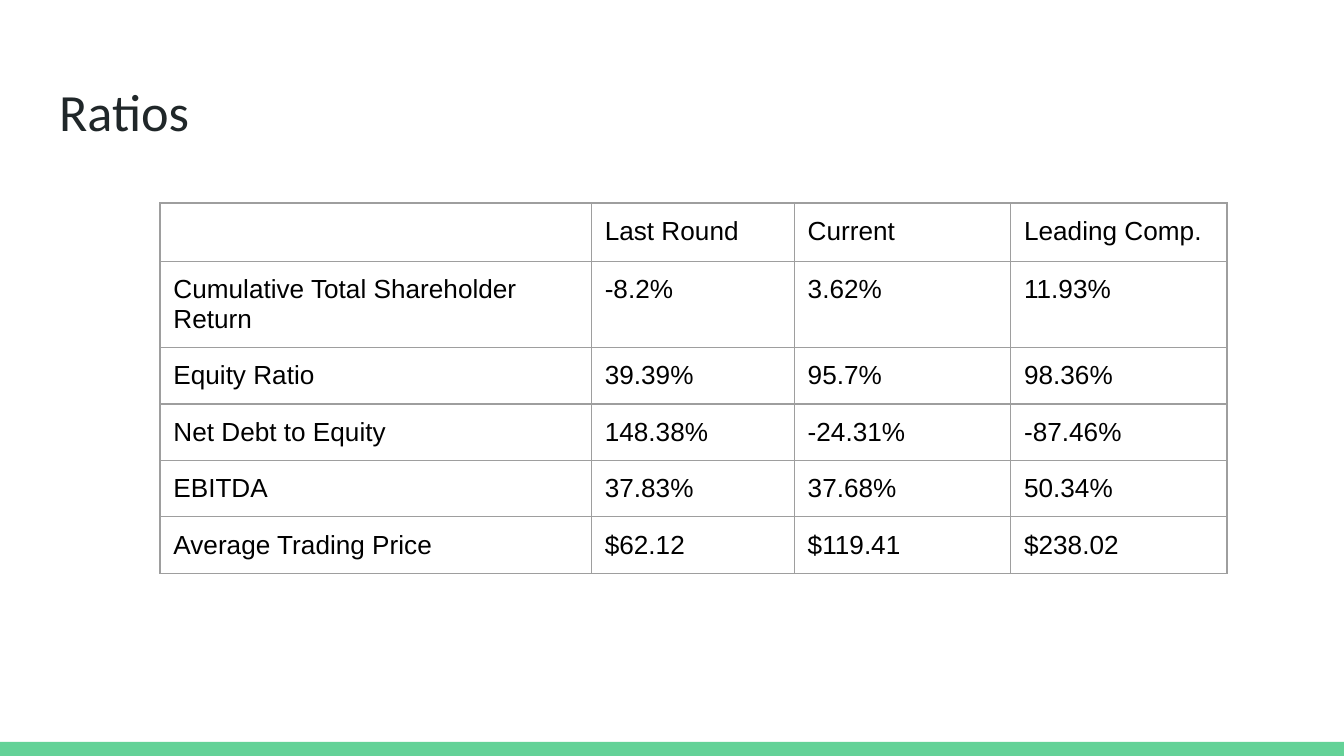
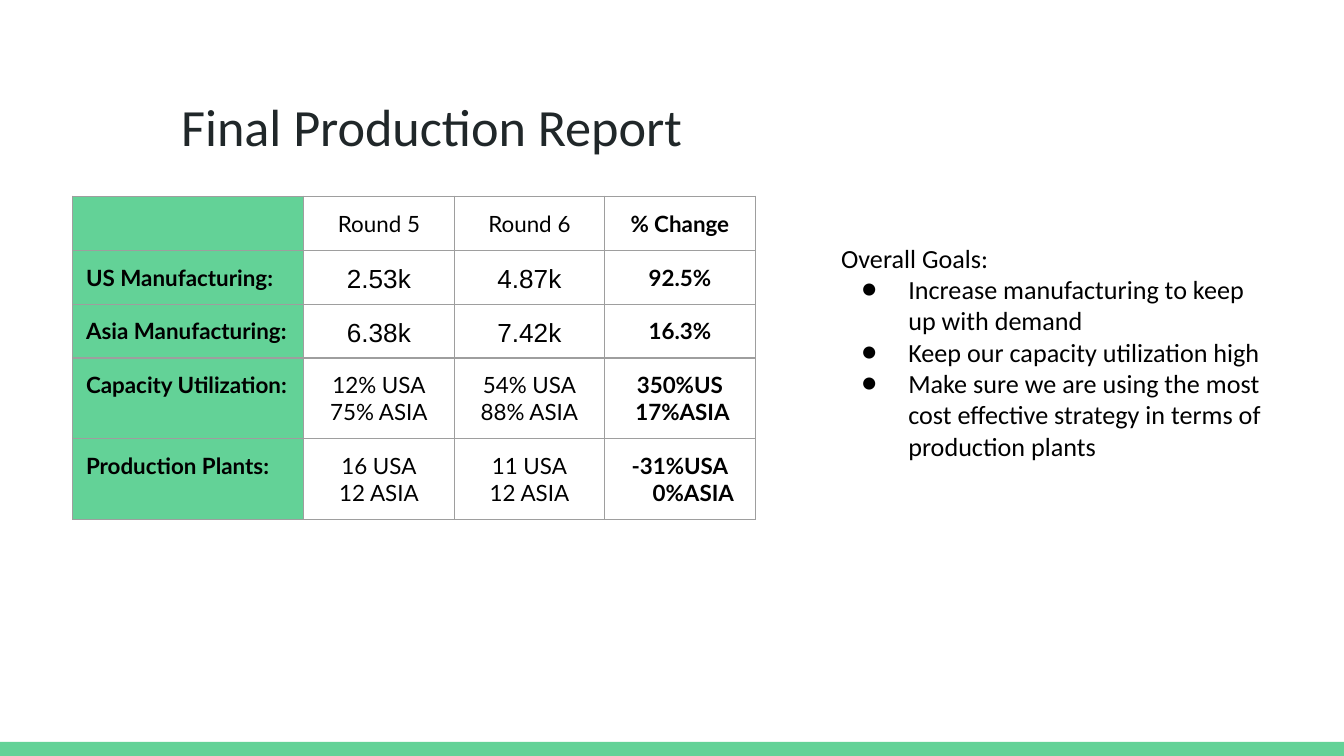
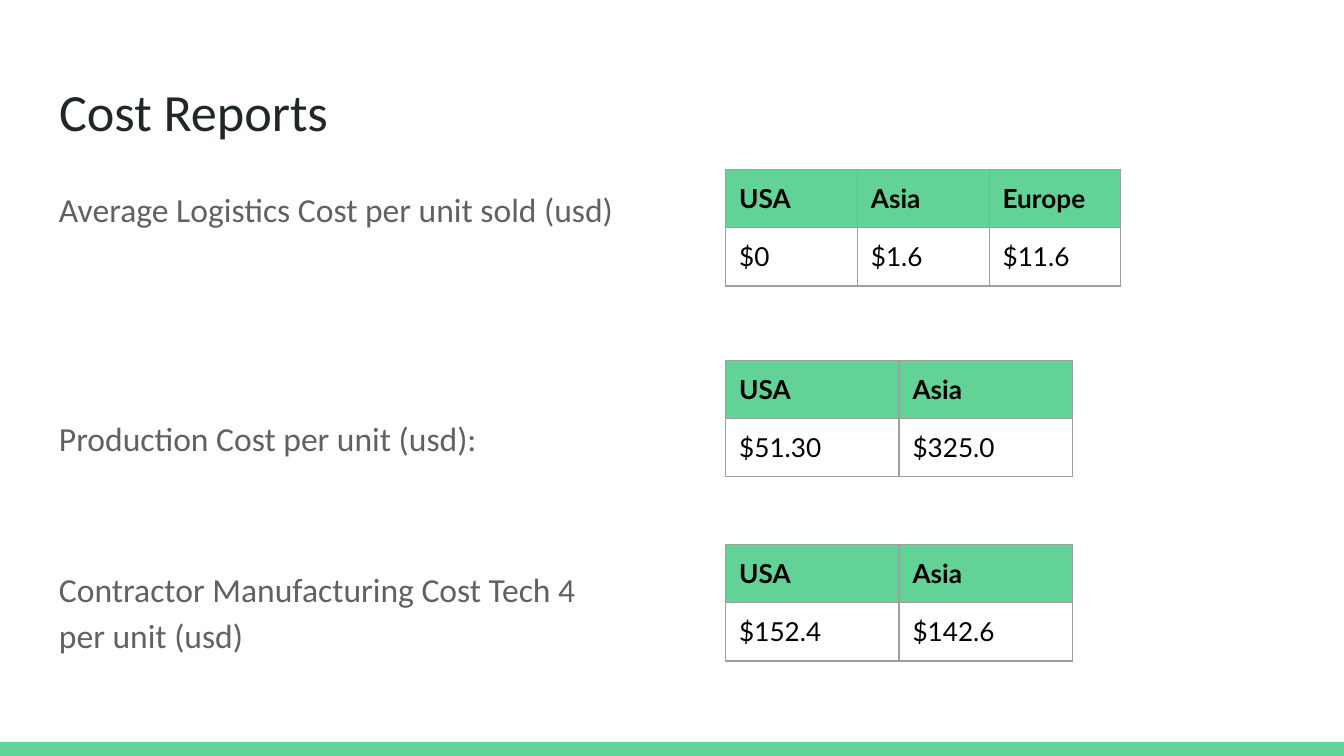
from lxml import etree
from pptx import Presentation
from pptx.dml.color import RGBColor
from pptx.enum.shapes import MSO_SHAPE
from pptx.enum.text import MSO_ANCHOR, MSO_AUTO_SIZE, PP_ALIGN
from pptx.oxml import parse_xml
from pptx.oxml.ns import nsdecls, qn
from pptx.util import Inches, Pt

GREEN = RGBColor(0x63, 0xD2, 0x97)
INK = RGBColor(0x20, 0x27, 0x29)
GRAY = RGBColor(0x61, 0x61, 0x61)
BLACK = RGBColor(0, 0, 0)
BORDER = RGBColor(0x9E, 0x9E, 0x9E)
RECTANGLE = MSO_SHAPE.RECTANGLE
TOP, MIDDLE = MSO_ANCHOR.TOP, MSO_ANCHOR.MIDDLE
LEFT, CENTER = PP_ALIGN.LEFT, PP_ALIGN.CENTER
NO_AUTOFIT = MSO_AUTO_SIZE.NONE


def style_text(frame, font, size, color, bold=False, align=LEFT, anchor=TOP, inset=(0.1, 0.1)):
    """Format every run of a text frame or table cell; inset is (side, top and bottom)."""
    frame.margin_left = frame.margin_right = Inches(inset[0])
    frame.margin_top = frame.margin_bottom = Inches(inset[1])
    frame.vertical_anchor = anchor
    for paragraph in getattr(frame, "text_frame", frame).paragraphs:
        paragraph.alignment = align
        if not paragraph.runs:
            paragraph._p.get_or_add_endParaRPr().set("sz", str(size * 100))
        for run in paragraph.runs:
            run.font.name, run.font.size = font, Pt(size)
            run.font.color.rgb, run.font.bold = color, bold


def add_grid(slide, left, top, widths, heights, rows, font, size):
    """Add a table with thin gray borders and no fill."""
    grid = slide.shapes.add_table(
        len(heights), len(widths), Inches(left), Inches(top),
        Inches(sum(widths)), Inches(sum(heights))).table
    grid.first_row = grid.horz_banding = False
    for column, width in zip(grid.columns, widths):
        column.width = Inches(width)
    for row, height, texts in zip(grid.rows, heights, rows):
        row.height = Inches(height)
        for cell, text in zip(row.cells, texts):
            cell.text = text
            style_text(cell, font, size, BLACK)
            properties = cell._tc.get_or_add_tcPr()
            for side in ("lnL", "lnR", "lnT", "lnB"):
                properties.append(parse_xml(
                    f'<a:{side} {nsdecls("a")} w="{Pt(0.75)}"><a:solidFill>'
                    f'<a:srgbClr val="{BORDER}"/></a:solidFill></a:{side}>'))
            cell.fill.background()
    return grid


# A 16:9 page
prs = Presentation()
prs.slide_width = Inches(10)
prs.slide_height = prs.slide_width * 9 // 16
title_only = prs.slide_layouts[5]

# Slides and titles
slides = []
for title, left, top, width, align in [
    ("Ratios", 0.34, 0.49, 9.32, LEFT),
    ("Final Production Report", 0.27, 0.6, 5.88, CENTER),
    ("Cost Reports", 0.34, 0.49, 9.32, LEFT),
]:
    slide = prs.slides.add_slide(title_only)
    heading = slide.shapes.title
    heading.left, heading.top = Inches(left), Inches(top)
    heading.width, heading.height = Inches(width), Inches(0.63)
    heading.text_frame.text = title
    heading.text_frame.auto_size = NO_AUTOFIT
    style_text(heading.text_frame, "Calibri", 28, INK, align=align)
    slides.append(slide)
ratios, production, costs = slides

# Green band, moved to the layout so that all slides share it
band = ratios.shapes.add_shape(RECTANGLE, 0, Inches(5.52), Inches(10), Inches(0.11))
band.shadow.inherit = False
band.fill.solid()
band.fill.fore_color.rgb = GREEN
band.line.fill.background()
title_only.shapes._spTree.insert(2, band._element)

# Ratios
add_grid(ratios, 1.19, 1.51, [3.21, 1.51, 1.61, 1.61], [0.43, 0.64] + [0.42] * 4, [
    ["", "Last Round", "Current", "Leading Comp."],
    ["Cumulative Total Shareholder Return", "-8.2%", "3.62%", "11.93%"],
    ["Equity Ratio", "39.39%", "95.7%", "98.36%"],
    ["Net Debt to Equity", "148.38%", "-24.31%", "-87.46%"],
    ["EBITDA", "37.83%", "37.68%", "50.34%"],
    ["Average Trading Price", "$62.12", "$119.41", "$238.02"],
], "Arial", 14)

# Production report
report = add_grid(production, 0.54, 1.46, [1.72] + [1.12] * 3, [0.4] * 3 + [0.6] * 2, [
    ["", "Round 5", "Round 6", "% Change"],
    ["US Manufacturing:", "2.53k", "4.87k", "92.5%"],
    ["Asia Manufacturing:", "6.38k", "7.42k", "16.3%"],
    ["Capacity Utilization:", "12% USA\n75% ASIA", "54% USA\n88% ASIA", "350%US\n17%ASIA"],
    ["Production Plants:", "16 USA\n12 ASIA", "11 USA\n12 ASIA", "-31%USA\n0%ASIA"],
], "Lato", 12)
for row_number, row in enumerate(report.rows):
    label, *rounds, change = row.cells
    label.fill.solid()
    label.fill.fore_color.rgb = GREEN
    style_text(label, "Lato", 12, BLACK, bold=True)
    manufacturing = row_number in (1, 2)
    inset = (0.03, 0.02) if manufacturing else (0.1, 0.1)
    font, size = ("Arial", 14) if manufacturing else ("Lato", 12)
    for cell in rounds:
        style_text(cell, font, size, BLACK, False, CENTER, MIDDLE, inset)
        if manufacturing:
            cell.text_frame.paragraphs[0].line_spacing = 1.15
    style_text(change, "Lato", 12, BLACK, True, CENTER, MIDDLE, inset)

# The Asia changes sit a little to the right of centre
for row_number, indent in ((3, 0.04), (4, 0.2)):
    asia_change = report.cell(row_number, 3).text_frame.paragraphs[1]
    asia_change._p.get_or_add_pPr().set("marL", str(Inches(indent)))

# Goals
goals = production.shapes.add_textbox(
    Inches(6.16), Inches(1.7), Inches(3.35), Inches(1.91)).text_frame
goals.word_wrap = True
goals.text = "\n".join([
    "Overall Goals:",
    "Increase manufacturing to keep up with demand",
    "Keep our capacity utilization high",
    "Make sure we are using the most cost effective strategy in terms of production plants",
])
style_text(goals, "Calibri", 14, BLACK)
for goal in goals.paragraphs[1:]:
    properties = goal._p.get_or_add_pPr()
    properties.set("marL", str(Inches(0.5)))
    properties.set("indent", str(Inches(-0.35)))
    bullet_color = etree.SubElement(properties, qn("a:buClr"))
    etree.SubElement(bullet_color, qn("a:srgbClr"), val=str(BLACK))
    etree.SubElement(properties, qn("a:buFont"), typeface="Calibri")
    etree.SubElement(properties, qn("a:buChar"), char="●")

# Cost labels, spaced to stand beside their tables
cost_labels = costs.shapes.add_textbox(
    Inches(0.34), Inches(1.26), Inches(5.09), Inches(4.15)).text_frame
cost_labels.word_wrap = True
cost_labels.text = "\n".join([
    "Average Logistics Cost per unit sold (usd)",
    "Production Cost per unit (usd):",
    "Contractor Manufacturing Cost Tech 4\vper unit (usd)",
])
style_text(cost_labels, "Calibri", 18, GRAY)
for cost_label, gap in zip(cost_labels.paragraphs, (0, 98, 56)):
    cost_label.line_spacing = 1.15
    cost_label.space_before = Pt(gap)

# Cost tables
for top, width, regions, amounts in [
    (1.26, 0.98, ["USA", "Asia", "Europe"], ["$0", "$1.6", "$11.6"]),
    (4.05, 1.29, ["USA", "Asia"], ["$152.4", "$142.6"]),
    (2.68, 1.29, ["USA", "Asia"], ["$51.30", "$325.0"]),
]:
    cost_table = add_grid(costs, 5.4, top, [width] * len(regions), [0.43] * 2,
                          [regions, amounts], "Lato", 14)
    for region in cost_table.rows[0].cells:
        region.fill.solid()
        region.fill.fore_color.rgb = GREEN
        style_text(region, "Lato", 14, BLACK, bold=True)

prs.save("out.pptx")
